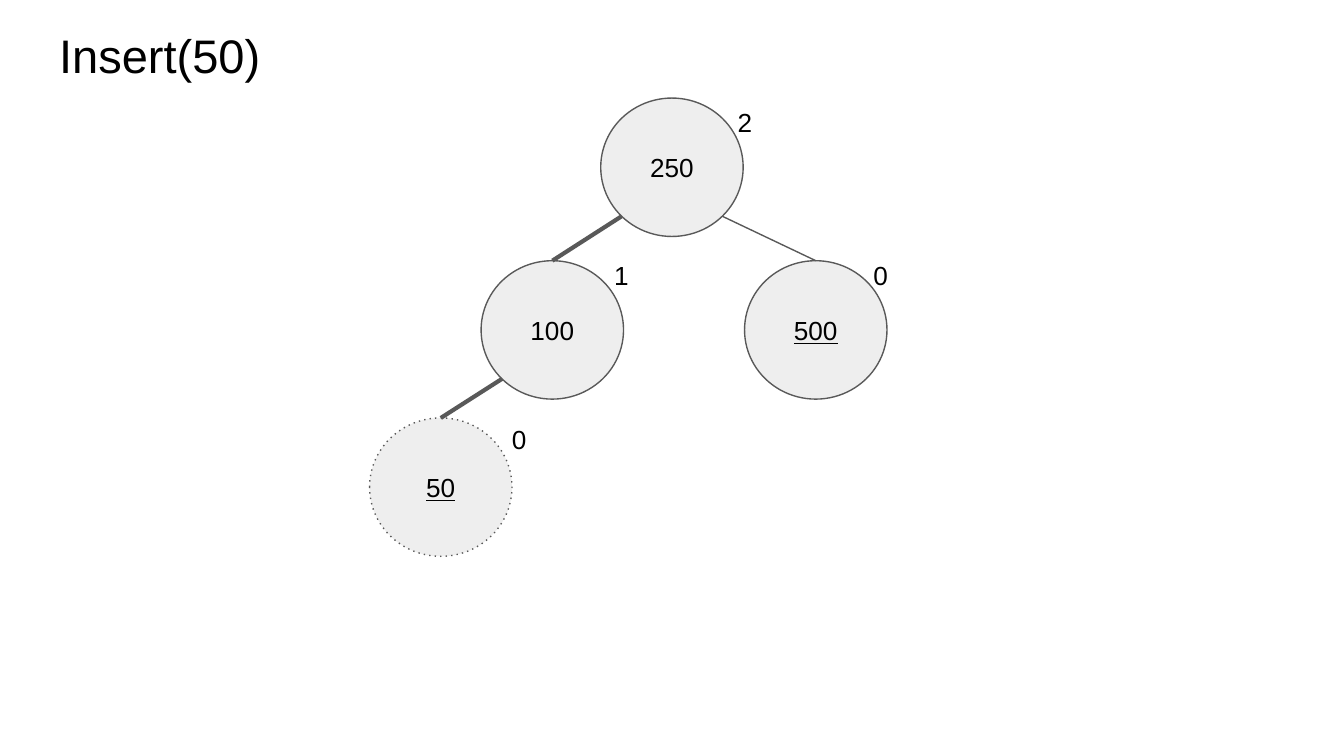
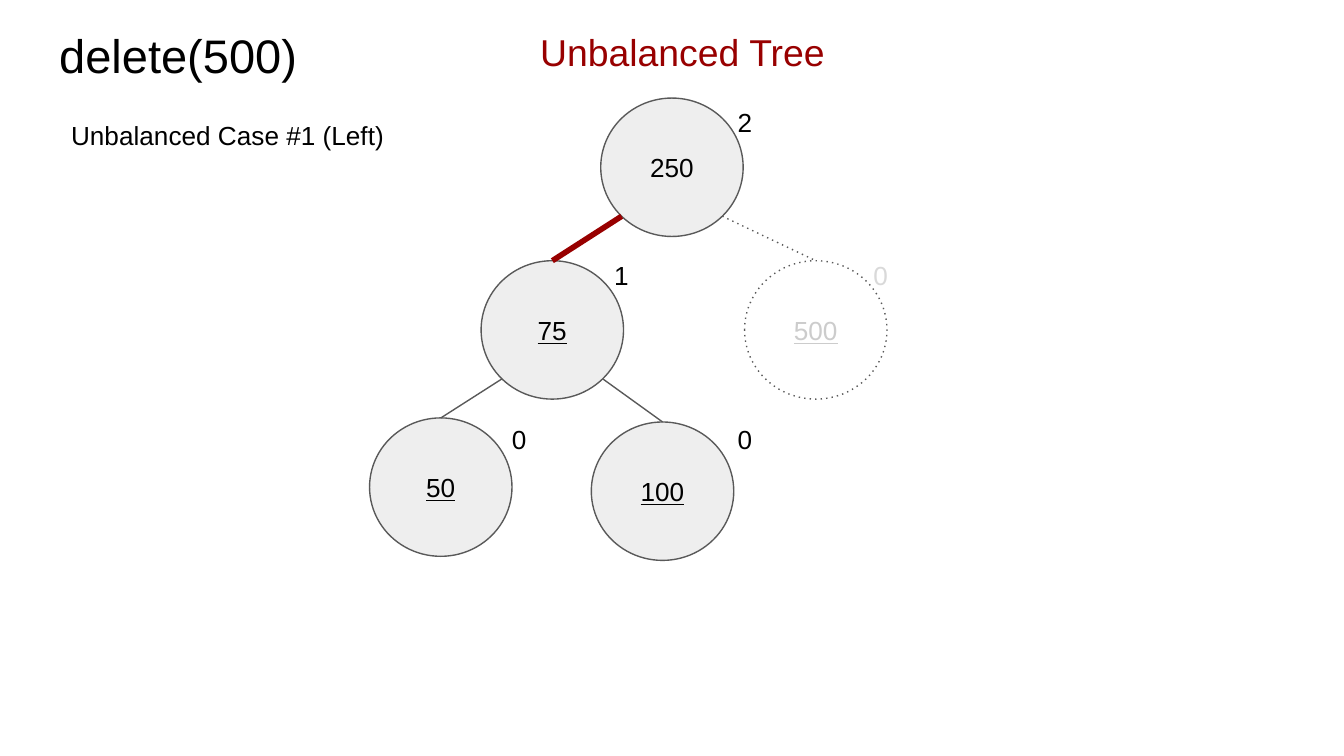
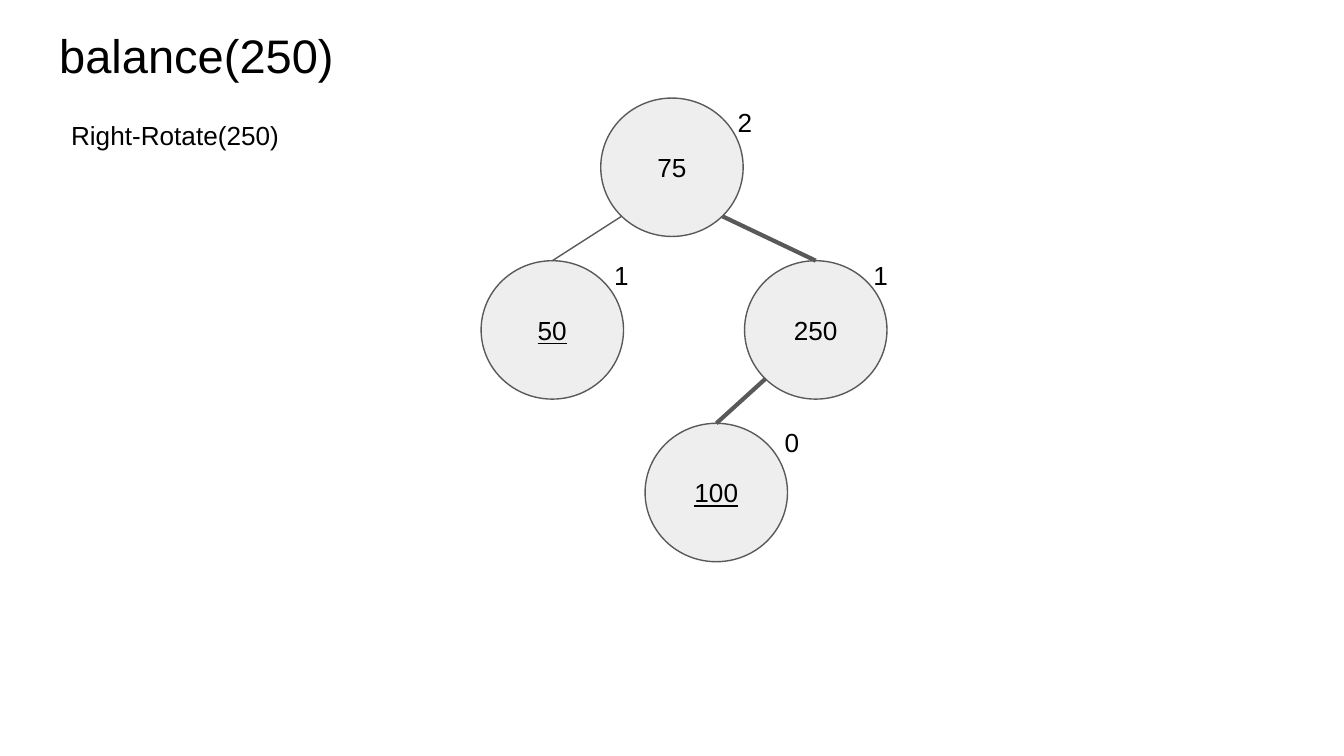
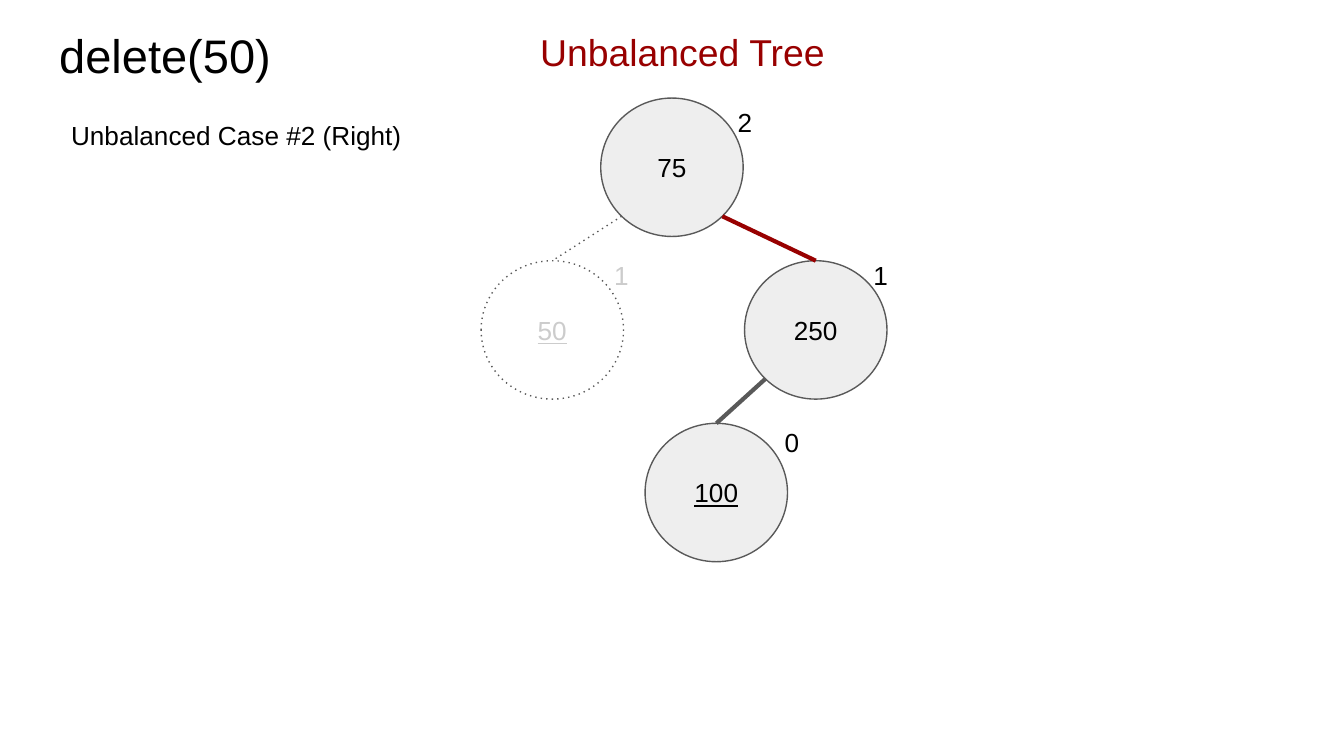
import math
from dataclasses import dataclass

import pptx
import pptx.dml.color
import pptx.enum.dml
import pptx.enum.shapes
import pptx.enum.text
import pptx.oxml.ns
import pptx.util
from lxml import etree

RGBColor = pptx.dml.color.RGBColor
BLACK = RGBColor(0x00, 0x00, 0x00)
WHITE = RGBColor(0xFF, 0xFF, 0xFF)
NODE_GRAY = RGBColor(0xEE, 0xEE, 0xEE)
LINE_GRAY = RGBColor(0x59, 0x59, 0x59)
FADED = RGBColor(0xCC, 0xCC, 0xCC)
PALE = RGBColor(0xD9, 0xD9, 0xD9)
RED = RGBColor(0x98, 0x00, 0x00)

FONT = "Arial"
PX_PER_INCH = 100
NODE_W, NODE_H = 106, 103
INSET = 10
THIN, THICK, HEAVY = 0.75, 2.25, 3
TITLE_ONLY = 5


@dataclass(frozen=True)
class Slot:
    x: int
    y: int
    height_x: int
    height_y: int
    height_w: int = 32


ROOT = Slot(447, 73, 539, 69)
LEFT = Slot(358, 194, 447, 183)
RIGHT = Slot(554, 194, 640, 183, 56)
LEFT_LEFT = Slot(275, 311, 371, 305)
LEFT_RIGHT = Slot(440, 314, 539, 305)
RIGHT_LEFT = Slot(480, 315, 574, 307)


@dataclass(frozen=True)
class Node:
    slot: Slot
    key: str
    height: str
    leaf: bool = False
    fill: RGBColor = NODE_GRAY
    color: RGBColor = BLACK
    height_color: RGBColor = BLACK
    dotted: bool = False


@dataclass(frozen=True)
class Edge:
    parent: Slot
    child: Slot
    width: float = THIN
    color: RGBColor = LINE_GRAY
    dotted: bool = False


@dataclass(frozen=True)
class TreeSlide:
    title: str
    nodes: tuple[Node, ...]
    edges: tuple[Edge, ...]
    note: str = ""
    unbalanced: bool = False


def px(n: float) -> pptx.util.Emu:
    return pptx.util.Emu(round(n * pptx.util.Inches(1) / PX_PER_INCH))


def removed(slot: Slot, key: str, height: str, height_color: RGBColor) -> Node:
    return Node(slot, key, height, True, WHITE, FADED, height_color, True)


def format_text(sp, text: str, size: float, color: RGBColor, align, anchor, underline=None) -> None:
    tf = sp.text_frame
    tf.text = text
    tf.word_wrap = True
    tf.vertical_anchor = anchor
    tf.margin_left = tf.margin_right = tf.margin_top = tf.margin_bottom = px(INSET)
    p = tf.paragraphs[0]
    p.alignment = align
    p.space_before = pptx.util.Pt(0)
    r = p.runs[0]
    r.font.name = FONT
    r.font.size = pptx.util.Pt(size)
    r.font.color.rgb = color
    r.font.underline = underline


def format_line(sp, width: float, color: RGBColor, dotted: bool) -> None:
    sp.line.width = pptx.util.Pt(width)
    sp.line.color.rgb = color
    if dotted:
        sp.line.dash_style = pptx.enum.dml.MSO_LINE.ROUND_DOT
        dash = next(sp._element.spPr.iter(pptx.oxml.ns.qn("a:prstDash")))
        dash.set("val", "dot")


def add_label(s, text: str, x: int, y: int, w: int, h: int, size: float = 14, color: RGBColor = BLACK) -> None:
    sp = s.shapes.add_textbox(px(x), px(y), px(w), px(h))
    format_text(sp, text, size, color, pptx.enum.text.PP_ALIGN.LEFT, pptx.enum.text.MSO_ANCHOR.TOP)
    sp.text_frame.auto_size = pptx.enum.text.MSO_AUTO_SIZE.SHAPE_TO_FIT_TEXT


def add_title(s, text: str) -> None:
    sp = s.shapes.title
    sp.left, sp.top, sp.width, sp.height = px(34), px(10), px(932), px(63)
    format_text(sp, text, 25.2, BLACK, pptx.enum.text.PP_ALIGN.LEFT, pptx.enum.text.MSO_ANCHOR.TOP)
    sp.text_frame.auto_size = pptx.enum.text.MSO_AUTO_SIZE.NONE


def add_node(s, node: Node) -> None:
    slot = node.slot
    sp = s.shapes.add_shape(pptx.enum.shapes.MSO_SHAPE.OVAL, px(slot.x), px(slot.y), px(NODE_W), px(NODE_H))
    sp.shadow.inherit = False
    sp.fill.solid()
    sp.fill.fore_color.rgb = node.fill
    format_line(sp, THIN, LINE_GRAY, node.dotted)
    format_text(sp, node.key, 14, node.color, pptx.enum.text.PP_ALIGN.CENTER,
                pptx.enum.text.MSO_ANCHOR.MIDDLE, node.leaf or None)
    add_label(s, node.height, slot.height_x, slot.height_y, slot.height_w, 44, color=node.height_color)


def add_edge(s, edge: Edge) -> None:
    parent, child = edge.parent, edge.child
    side = -1 if child.x < parent.x else 1
    reach = math.sqrt(0.5)
    start_x = parent.x + NODE_W / 2 * (1 + side * reach)
    start_y = parent.y + NODE_H / 2 * (1 + reach)
    line = s.shapes.add_connector(pptx.enum.shapes.MSO_CONNECTOR.STRAIGHT, px(start_x), px(start_y),
                                  px(child.x + NODE_W / 2), px(child.y))
    format_line(line, edge.width, edge.color, edge.dotted)
    etree.SubElement(line._element.spPr, pptx.oxml.ns.qn("a:effectLst"))


def add_tree_slide(prs, tree: TreeSlide) -> None:
    s = prs.slides.add_slide(prs.slide_layouts[TITLE_ONLY])
    add_title(s, tree.title)
    for node in tree.nodes:
        add_node(s, node)
    for edge in tree.edges:
        add_edge(s, edge)
    if tree.unbalanced:
        add_label(s, "Unbalanced Tree", 392, 12, 532, 54, 20, RED)
    if tree.note:
        add_label(s, tree.note, 43, 79, 632, 44)


RIGHT_BRANCH = (
    Node(ROOT, "75", "2"),
    Node(RIGHT, "250", "1"),
    Node(RIGHT_LEFT, "100", "0", leaf=True),
)

TREES = (
    TreeSlide(
        "Insert(50)",
        (
            Node(ROOT, "250", "2"),
            Node(LEFT, "100", "1"),
            Node(RIGHT, "500", "0", leaf=True),
            Node(LEFT_LEFT, "50", "0", leaf=True, dotted=True),
        ),
        (Edge(ROOT, LEFT, THICK), Edge(LEFT, LEFT_LEFT, THICK), Edge(ROOT, RIGHT)),
    ),
    TreeSlide(
        "delete(500)",
        (
            Node(ROOT, "250", "2"),
            Node(LEFT, "75", "1", leaf=True),
            removed(RIGHT, "500", "0", PALE),
            Node(LEFT_LEFT, "50", "0", leaf=True),
            Node(LEFT_RIGHT, "100", "0", leaf=True),
        ),
        (
            Edge(ROOT, RIGHT, dotted=True),
            Edge(ROOT, LEFT, HEAVY, RED),
            Edge(LEFT, LEFT_LEFT),
            Edge(LEFT, LEFT_RIGHT),
        ),
        "Unbalanced Case #1 (Left)",
        unbalanced=True,
    ),
    TreeSlide(
        "balance(250)",
        (*RIGHT_BRANCH, Node(LEFT, "50", "1", leaf=True)),
        (Edge(ROOT, LEFT), Edge(ROOT, RIGHT, THICK), Edge(RIGHT, RIGHT_LEFT, THICK)),
        "Right-Rotate(250)",
    ),
    TreeSlide(
        "delete(50)",
        (*RIGHT_BRANCH, removed(LEFT, "50", "1", FADED)),
        (
            Edge(ROOT, LEFT, dotted=True),
            Edge(ROOT, RIGHT, THICK, RED),
            Edge(RIGHT, RIGHT_LEFT, THICK),
        ),
        "Unbalanced Case #2 (Right)",
        unbalanced=True,
    ),
)


def main() -> None:
    prs = pptx.Presentation()
    prs.slide_width = px(1000)
    prs.slide_height = prs.slide_width * 9 // 16
    for tree in TREES:
        add_tree_slide(prs, tree)
    prs.save("out.pptx")


if __name__ == "__main__":
    main()
